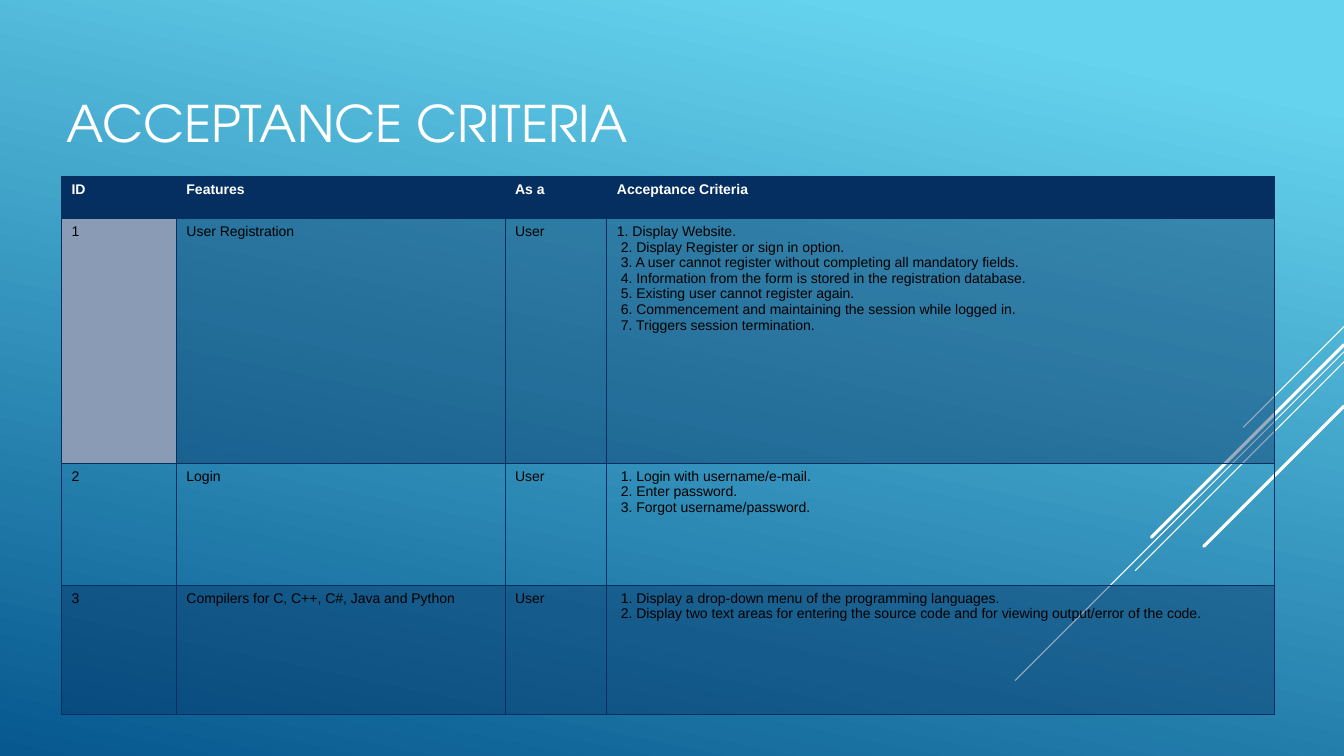
"""Build the acceptance criteria slide: title, criteria table and diagonal accent lines."""
from dataclasses import dataclass

from lxml.etree import SubElement
from pptx import Presentation
from pptx.dml.color import RGBColor
from pptx.enum.shapes import MSO_CONNECTOR
from pptx.enum.text import MSO_ANCHOR, PP_ALIGN
from pptx.oxml.ns import qn
from pptx.util import Inches, Pt


@dataclass(frozen=True)
class Theme:
    sky: str = "66D3EE"
    deep: str = "06588E"
    navy: str = "052F61"
    slate: str = "8A9CB5"
    white: str = "FFFFFF"
    black: str = "000000"
    title_font: str = "TeX Gyre Adventor"
    table_font: str = "Arial"
    title_size: int = 36
    table_size: int = 10
    border_width: float = 0.75
    band_alpha: int = 40


theme = Theme()


def add_span(para, text, font, size, color, bold=False):
    span = para.add_run()
    span.text = text
    span.font.name = font
    span.font.size = Pt(size)
    span.font.bold = bold
    span.font.color.rgb = RGBColor.from_string(color)


def add_borders(cell):
    properties = cell._tc.get_or_add_tcPr()
    for side in ("a:lnL", "a:lnR", "a:lnT", "a:lnB"):
        border = SubElement(properties, qn(side), w=str(Pt(theme.border_width)))
        SubElement(SubElement(border, qn("a:solidFill")), qn("a:srgbClr"), val=theme.navy)


deck = Presentation()
deck.slide_width = Inches(13.33)
deck.slide_height = Inches(7.5)
page = deck.slides.add_slide(deck.slide_layouts[5])

backdrop = page.background.fill
backdrop.gradient()
backdrop.gradient_angle = 360 - 102
for stop, position, color in zip(backdrop.gradient_stops, (0.1, 1), (theme.sky, theme.deep)):
    stop.position = position
    stop.color.rgb = RGBColor.from_string(color)

right_edge = 13.33
accents = [(3.24, 1.0, 0.75), (3.49, 3.26, 0.75), (3.59, 2.07, 0.75), (3.42, 1.91, 2.25), (4.03, 1.39, 2.25)]
for top, run, width in accents:
    accent = page.shapes.add_connector(
        MSO_CONNECTOR.STRAIGHT,
        Inches(right_edge), Inches(top), Inches(right_edge - run), Inches(top + run),
    )
    accent.line.color.rgb = RGBColor.from_string(theme.white)
    accent.line.width = Pt(width)
    accent.get_or_add_ln().set("cap", "rnd")
    SubElement(accent._element.spPr, qn("a:effectLst"))

title = page.shapes.title
title.left, title.top, title.width, title.height = (Inches(n) for n in (0.61, 0.39, 9.33, 1.65))
frame = title.text_frame
frame.word_wrap = True
frame.vertical_anchor = MSO_ANCHOR.MIDDLE
frame.margin_left = frame.margin_right = frame.margin_top = frame.margin_bottom = Inches(0.05)
para = frame.paragraphs[0]
para.alignment = PP_ALIGN.LEFT
add_span(para, "ACCEPTANCE CRITERIA", theme.title_font, theme.title_size, theme.white)

rows = [
    ("ID", "Features", "As a", ["Acceptance Criteria"]),
    ("1", "User Registration", "User", [
        "1. Display Website.",
        " 2. Display Register or sign in option.",
        " 3. A user cannot register without completing all mandatory fields.",
        " 4. Information from the form is stored in the registration database.",
        " 5. Existing user cannot register again.",
        " 6. Commencement and maintaining the session while logged in.",
        " 7. Triggers session termination.",
    ]),
    ("2", "Login", "User", [
        " 1. Login with username/e-mail.",
        " 2. Enter password.",
        " 3. Forgot username/password.",
    ]),
    ("3", "Compilers for C, C++, C#, Java and Python", "User", [
        " 1. Display a drop-down menu of the programming languages.",
        " 2. Display two text areas for entering the source code and for viewing output/error of the code.",
    ]),
]
column_widths = (1.14, 3.26, 1.01, 6.62)
row_heights = (0.42, 2.43, 1.21, 1.28)

table = page.shapes.add_table(
    len(rows), len(column_widths), Inches(0.61), Inches(1.75),
    Inches(sum(column_widths)), Inches(sum(row_heights)),
).table
table.horz_banding = False
for column, width in zip(table.columns, column_widths):
    column.width = Inches(width)
for row, height in zip(table.rows, row_heights):
    row.height = Inches(height)

for row_index, (number, feature, role, criteria) in enumerate(rows):
    header = row_index == 0
    text_color = theme.white if header else theme.black
    for column_index, lines in enumerate(([number], [feature], [role], criteria)):
        cell = table.cell(row_index, column_index)
        para = cell.text_frame.paragraphs[0]
        for line_index, line in enumerate(lines):
            if line_index:
                para.add_line_break()
            add_span(para, line, theme.table_font, theme.table_size, text_color, header)
        add_borders(cell)
        if row_index == 2:
            cell.fill.background()
            continue
        slate_cell = (row_index, column_index) == (1, 0)
        cell.fill.solid()
        cell.fill.fore_color.rgb = RGBColor.from_string(theme.slate if slate_cell else theme.navy)
        if not header and not slate_cell:
            tint = cell._tc.tcPr.find(qn("a:solidFill")).find(qn("a:srgbClr"))
            SubElement(tint, qn("a:alpha"), val=str(theme.band_alpha * 1000))

deck.save("out.pptx")
